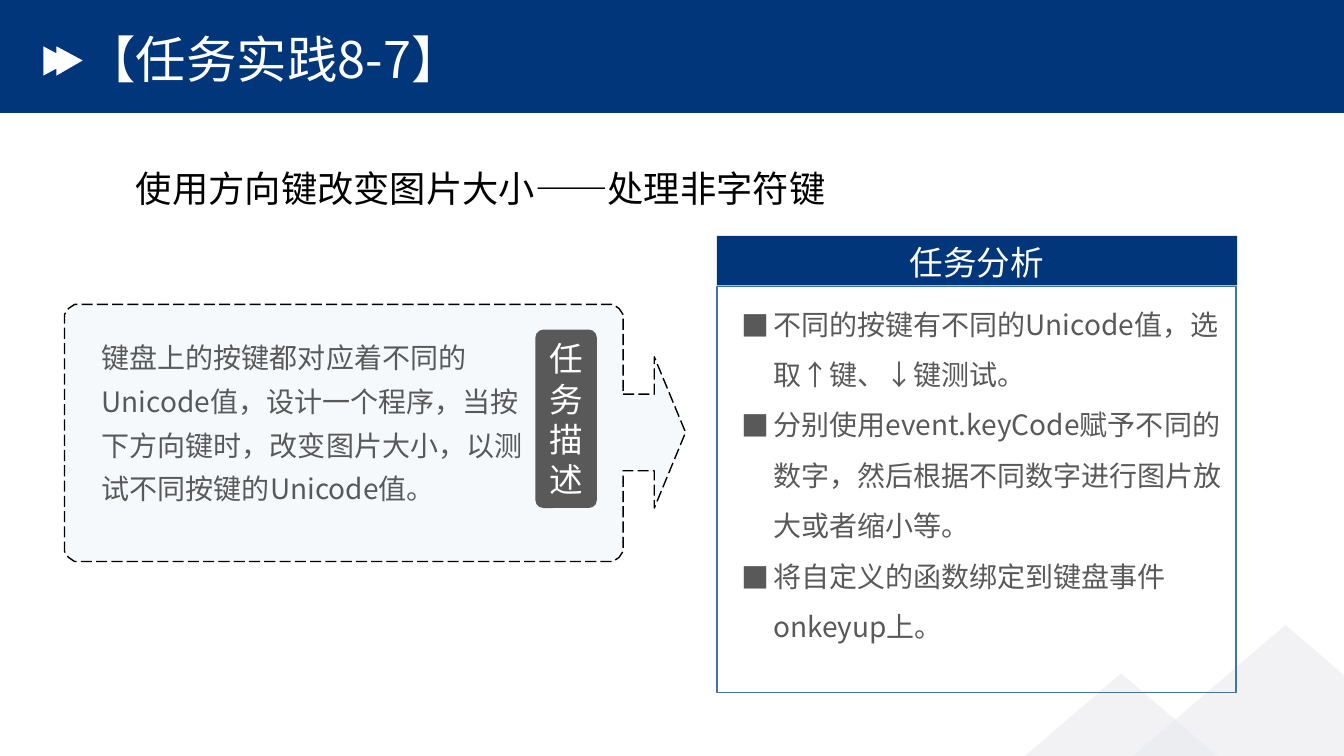
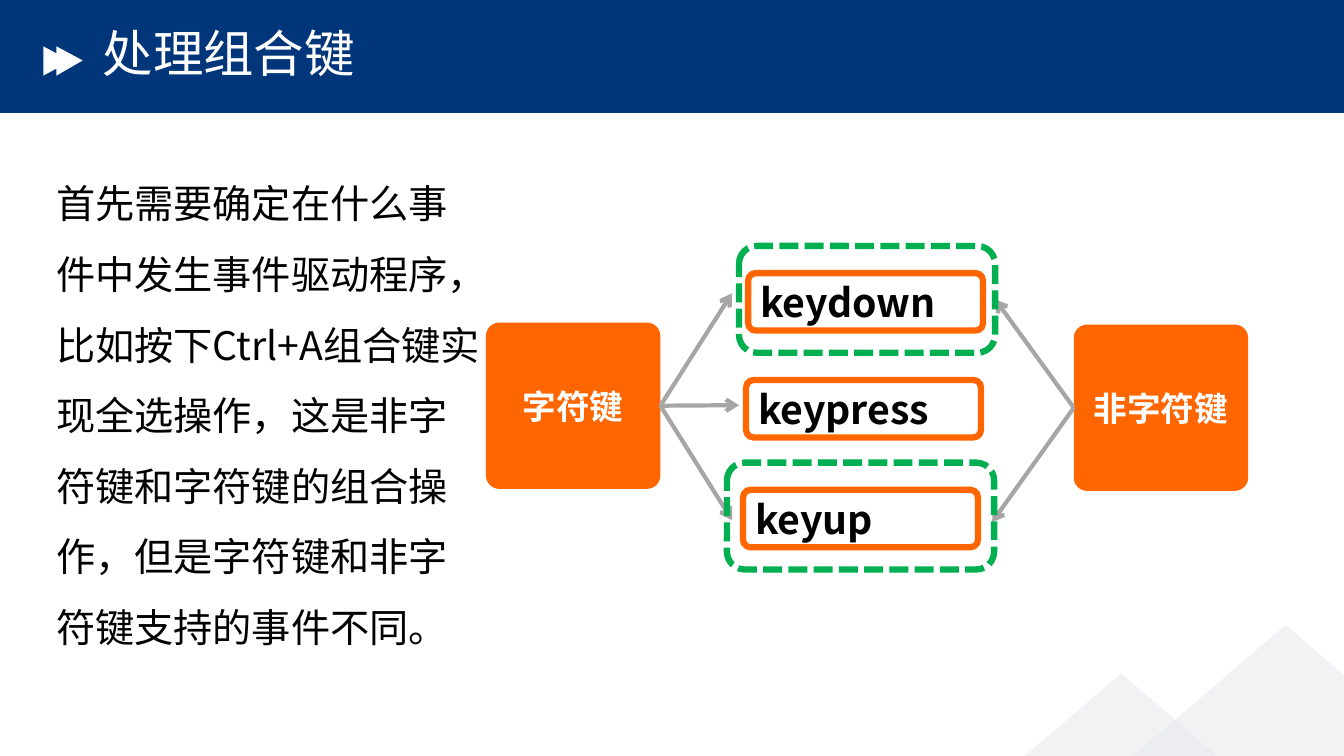
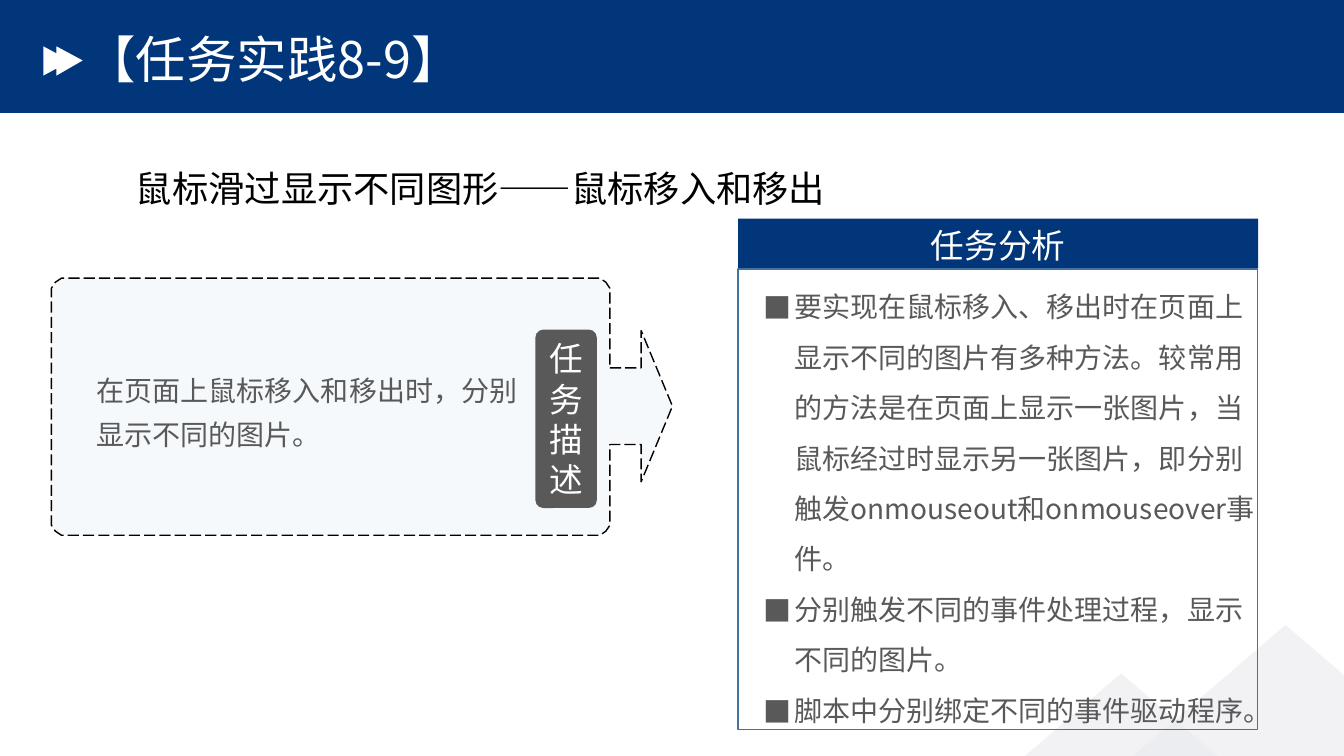
import math
import lxml.etree
import pptx
import pptx.dml.color
import pptx.enum.dml
import pptx.enum.shapes
import pptx.enum.text
import pptx.oxml.ns
import pptx.util

PX = 9144
FONT = "Noto Sans CJK SC"
COLORS = {
    "navy": "01367A",
    "white": "FFFFFF",
    "black": "000000",
    "mist": "E9EAEF",
    "sky": "BDD7EE",
    "gray": "595959",
    "frame": "43739E",
    "orange": "FF6600",
    "green": "00B050",
    "arrow": "A6A6A6",
}
qn = pptx.oxml.ns.qn
SubElement = lxml.etree.SubElement
MSO = pptx.enum.shapes.MSO_SHAPE
DASH = pptx.enum.dml.MSO_LINE
ALIGN = pptx.enum.text.PP_ALIGN
ANCHOR = pptx.enum.text.MSO_ANCHOR


def draw(s, kind, box=None, fill=None, alpha=None, line=None, width=1, dash=None, adj=None):
    if isinstance(kind, list):
        builder = s.shapes.build_freeform(*kind[0], scale=PX)
        builder.add_line_segments(kind[1:])
        sp = builder.convert_to_shape()
    else:
        sp = s.shapes.add_shape(kind, *[v * PX for v in box])
    sp.shadow.inherit = False
    if adj is not None:
        sp.adjustments[0] = adj
    if fill:
        sp.fill.solid()
        sp.fill.fore_color.rgb = pptx.dml.color.RGBColor.from_string(COLORS[fill])
        if alpha:
            clr = sp._element.spPr.find(".//" + qn("a:srgbClr"))
            SubElement(clr, qn("a:alpha")).set("val", str(alpha * 1000))
    else:
        sp.fill.background()
    if line:
        sp.line.color.rgb = pptx.dml.color.RGBColor.from_string(COLORS[line])
        sp.line.width = pptx.util.Pt(width)
        if dash:
            sp.line.dash_style = dash
    else:
        sp.line.fill.background()
    return sp


def write(text, sp=None, s=None, box=None, size=24, color="black", font=FONT, bold=False,
          align=ALIGN.LEFT, anchor=ANCHOR.TOP, spacing=1.0, bullet=False):
    if sp is None:
        sp = s.shapes.add_textbox(*[v * PX for v in box])
    tf = sp.text_frame
    tf.word_wrap = True
    tf.vertical_anchor = anchor
    for i, part in enumerate(text if isinstance(text, list) else [text]):
        p = tf.add_paragraph() if i else tf.paragraphs[0]
        p.alignment = align
        p.line_spacing = spacing
        if bullet:
            pPr = p._p.get_or_add_pPr()
            pPr.set("marL", str(31 * PX))
            pPr.set("indent", str(-31 * PX))
            SubElement(pPr, qn("a:buFont")).set("typeface", FONT)
            SubElement(pPr, qn("a:buChar")).set("char", "■")
        r = p.add_run()
        r.text = part
        r.font.size = pptx.util.Pt(size)
        r.font.bold = bold
        r.font.name = font
        r.font.color.rgb = pptx.dml.color.RGBColor.from_string(COLORS[color])
        SubElement(r._r.get_or_add_rPr(), qn("a:ea")).set("typeface", font)


prs = pptx.Presentation()
prs.slide_width = 1333 * PX
prs.slide_height = 750 * PX
layout = prs.slide_layouts[6]
for ph in list(layout.placeholders):
    ph._element.getparent().remove(ph._element)

titles = [
    ("【任务实践8-7】", 75, 34),
    ("处理组合键", 92, 28),
    ("【任务实践8-9】", 75, 34),
]
slides = [prs.slides.add_slide(layout) for _ in titles]

double_arrow = [(43, 46), (56, 53), (56, 46), (82, 60), (56, 75), (56, 68), (43, 75)]
draw(slides[0], MSO.RECTANGLE, (0, 0, 1334, 112), fill="navy")
draw(slides[0], double_arrow, fill="white")
for left, top in [(892, 668), (1055, 620)]:
    draw(slides[0], MSO.ISOSCELES_TRIANGLE, (left, top, 440, 189), fill="mist", alpha=59)
for sp in list(slides[0].shapes):
    layout.shapes._spTree.append(sp._element)

for s, (title, left, top) in zip(slides, titles):
    write(title, s=s, box=(left, top, 658, 56), size=36, color="white",
          anchor=ANCHOR.MIDDLE, spacing=0.9)

tasks = [
    {
        "slide": slides[0],
        "heading": "使用方向键改变图片大小——处理非字符键",
        "callout": (64, 302),
        "text": "键盘上的按键都对应着不同的Unicode值，设计一个程序，当按下方向键时，改变图片大小，以测试不同按键的Unicode值。",
        "text_box": (91, 323, 440, 181),
        "panel": (711, 234, 403),
        "points": [
            "不同的按键有不同的Unicode值，选取↑键、↓键测试。",
            "分别使用event.keyCode赋予不同的数字，然后根据不同数字进行图片放大或者缩小等。",
            "将自定义的函数绑定到键盘事件onkeyup上。",
        ],
    },
    {
        "slide": slides[2],
        "heading": "鼠标滑过显示不同图形——鼠标移入和移出",
        "callout": (51, 276),
        "text": "在页面上鼠标移入和移出时，分别显示不同的图片。",
        "text_box": (86, 356, 440, 93),
        "panel": (732, 217, 457),
        "points": [
            "要实现在鼠标移入、移出时在页面上显示不同的图片有多种方法。较常用的方法是在页面上显示一张图片，当鼠标经过时显示另一张图片，即分别触发onmouseout和onmouseover事件。",
            "分别触发不同的事件处理过程，显示不同的图片。",
            "脚本中分别绑定不同的事件驱动程序。",
        ],
    },
]

body_w, body_h, radius = 554, 255, 14
callout = [(554, 89), (585, 89), (585, 52), (616, 127), (585, 202), (585, 165), (554, 165)]
corners = [
    (body_w - radius, body_h - radius, 0),
    (radius, body_h - radius, 90),
    (radius, radius, 180),
    (body_w - radius, radius, 270),
]
for cx, cy, start in corners:
    for step in range(0, 91, 15):
        angle = math.radians(start + step)
        callout.append((cx + radius * math.cos(angle), cy + radius * math.sin(angle)))

for task in tasks:
    s = task["slide"]
    write(task["heading"], s=s, box=(125, 147, 740, 70), size=25.9, spacing=1.3)

    left, top = task["callout"]
    draw(s, [(left + x, top + y) for x, y in callout], fill="sky", alpha=15,
         line="black", dash=DASH.LONG_DASH)
    write(task["text"], s=s, box=task["text_box"], size=20, color="gray", spacing=1.3)
    tag = draw(s, MSO.ROUNDED_RECTANGLE, (531, 327, 61, 177), fill="gray", adj=0.13)
    write("任务描述", sp=tag, color="white", font="Calibri", align=ALIGN.CENTER,
          anchor=ANCHOR.MIDDLE)

    left, top, height = task["panel"]
    draw(s, MSO.RECTANGLE, (left, top, 516, 49), fill="navy")
    write("任务分析", s=s, box=(left, top + 1, 516, 44), color="white", align=ALIGN.CENTER)
    write(task["points"], s=s, box=(left + 15, top + 49, 516, height - 45), size=20,
          color="gray", spacing=1.5, bullet=True)
    draw(s, MSO.RECTANGLE, (left, top + 50, 515, height), line="frame")

s = slides[1]
key_boxes = []
for text, left, top, font in [("字符键", 482, 320, "Arial"), ("非字符键", 1065, 322, FONT)]:
    sp = draw(s, MSO.ROUNDED_RECTANGLE, (left, top, 173, 165), fill="orange", adj=0.08)
    write(text, sp=sp, color="white", font=font, bold=True, align=ALIGN.CENTER,
          anchor=ANCHOR.MIDDLE)
    key_boxes.append(sp)
char_key, other_key = key_boxes

arrows = []
for key_box, side, x, y in [
    (other_key, 1, 986, 300),
    (other_key, 1, 984, 518),
    (char_key, 3, 726, 291),
    (char_key, 3, 733, 402),
    (char_key, 3, 726, 516),
]:
    c = s.shapes.add_connector(pptx.enum.shapes.MSO_CONNECTOR.STRAIGHT, 0, 0, x * PX, y * PX)
    c.begin_connect(key_box, side)
    c.line.color.rgb = pptx.dml.color.RGBColor.from_string(COLORS["arrow"])
    c.line.width = pptx.util.Pt(3)
    SubElement(c.line._get_or_add_ln(), qn("a:tailEnd")).set("type", "arrow")
    SubElement(c._element.spPr, qn("a:effectLst"))
    arrows.append(c)

for text, left, top in [("keydown", 742, 271), ("keypress", 740, 377), ("keyup", 737, 486)]:
    sp = draw(s, MSO.ROUNDED_RECTANGLE, (left, top, 233, 57), line="orange", width=4.5, adj=0.13)
    write(text, sp=sp, size=28, bold=True, anchor=ANCHOR.MIDDLE)

shared_events = [
    draw(s, MSO.ROUNDED_RECTANGLE, box, line="green", width=4.5, dash=DASH.SQUARE_DOT)
    for box in [(733, 244, 254, 106), (721, 459, 265, 106)]
]
arrows[0].end_connect(shared_events[0], 3)

write("首先需要确定在什么事件中发生事件驱动程序，比如按下Ctrl+A组合键实现全选操作，这是非字符键和字符键的组合操作，但是字符键和非字符键支持的事件不同。",
      s=s, box=(46, 150, 443, 505), size=28, spacing=1.5)

prs.save("out.pptx")
